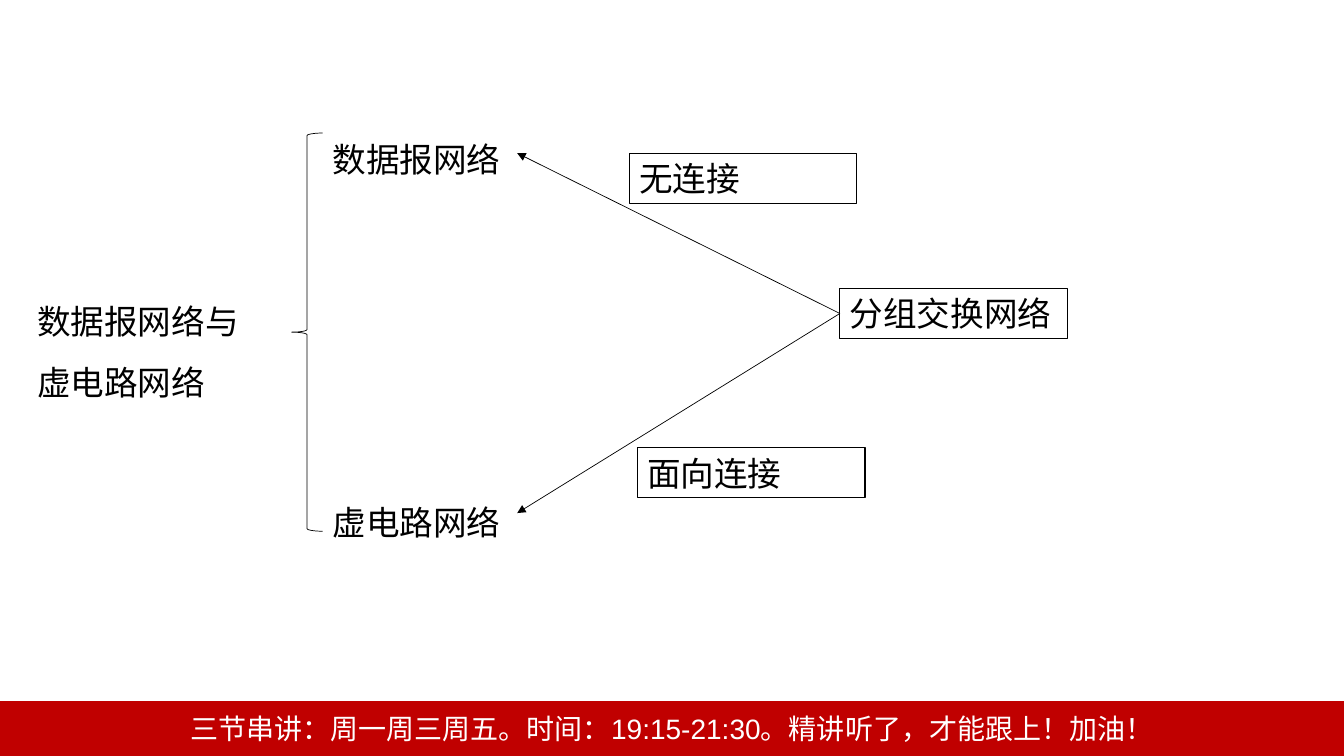
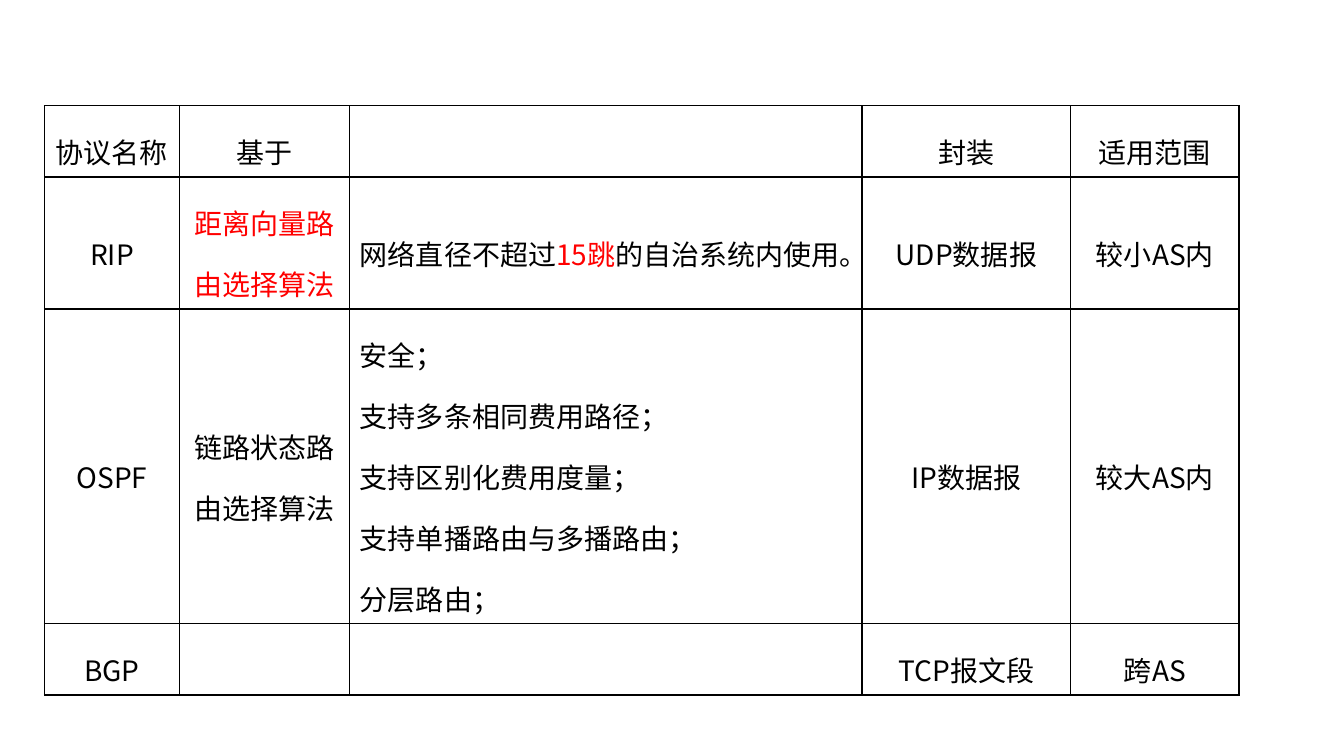
from lxml import etree
from pptx import Presentation
from pptx.dml.color import RGBColor
from pptx.enum.shapes import MSO_CONNECTOR, MSO_SHAPE
from pptx.enum.text import MSO_ANCHOR, MSO_AUTO_SIZE, PP_ALIGN
from pptx.oxml.ns import qn
from pptx.util import Inches, Pt

LEFT, CENTER = PP_ALIGN.LEFT, PP_ALIGN.CENTER
TOP, MIDDLE = MSO_ANCHOR.TOP, MSO_ANCHOR.MIDDLE
FIXED, GROW = MSO_AUTO_SIZE.NONE, MSO_AUTO_SIZE.SHAPE_TO_FIT_TEXT
RECTANGLE, LEFT_BRACE = MSO_SHAPE.RECTANGLE, MSO_SHAPE.LEFT_BRACE
STRAIGHT = MSO_CONNECTOR.STRAIGHT


class Theme:
    black = RGBColor(0x00, 0x00, 0x00)
    white = RGBColor(0xFF, 0xFF, 0xFF)
    red = RGBColor(0xFF, 0x00, 0x00)
    band = RGBColor(0xC0, 0x00, 0x00)
    diagram_text = {"size": Pt(24), "name": "Arial"}
    band_text = {"size": Pt(20), "name": "Arial"}
    table_text = {"size": Pt(20), "name": "Noto Sans CJK SC"}
    thin, box_line, border = Pt(0.5), Pt(0.75), Pt(1)
    spacing = 1.5


def write(frame, paragraphs, font, color=Theme.black, align=LEFT, spacing=None):
    """Fill a text frame; each paragraph is a string or a list of (text, color)."""
    frame.word_wrap = True
    for index, content in enumerate(paragraphs):
        paragraph = frame.add_paragraph() if index else frame.paragraphs[0]
        paragraph.alignment = align
        paragraph.line_spacing = spacing
        runs = [(content, color)] if isinstance(content, str) else content
        for text, run_color in runs:
            run = paragraph.add_run()
            run.text = text
            run.font.color.rgb = run_color
            for name, value in font.items():
                setattr(run.font, name, value)


def add_outline(slide, kind, position, width, color=Theme.black, fill=None):
    """Add a preset shape with a plain line and an optional fill."""
    shape = slide.shapes.add_shape(kind, *map(Inches, position))
    shape.shadow.inherit = False
    shape.line.color.rgb = color
    shape.line.width = width
    if fill is None:
        shape.fill.background()
    else:
        shape.fill.solid()
        shape.fill.fore_color.rgb = fill
    return shape


presentation = Presentation()
presentation.slide_width = Inches(13.33)
presentation.slide_height = Inches(7.5)
blank = presentation.slide_layouts[6]

# Slide 1: topic and its two branches
slide = presentation.slides.add_slide(blank)
topics = [
    ((0.27, 2.74, 2.92, 1.24), ["数据报网络与", "虚电路网络"]),
    ((3.2, 1.13, 1.9, 0.67), ["数据报网络"]),
    ((3.2, 4.73, 1.9, 0.67), ["虚电路网络"]),
]
for position, lines in topics:
    text_box = slide.shapes.add_textbox(*map(Inches, position))
    write(text_box.text_frame, lines, Theme.diagram_text, spacing=Theme.spacing)
    text_box.text_frame.auto_size = GROW
add_outline(slide, LEFT_BRACE, (2.89, 1.32, 0.31, 3.95), Theme.thin)

# Arrows from the packet network to each branch
for end_y in (1.52, 5.09):
    arrow = slide.shapes.add_connector(
        STRAIGHT, Inches(8.33), Inches(3.11), Inches(5.13), Inches(end_y))
    arrow.line.color.rgb = Theme.black
    arrow.line.width = Theme.thin
    etree.SubElement(arrow.line._get_or_add_ln(), qn("a:tailEnd"), type="triangle")
    etree.SubElement(arrow._element.spPr, qn("a:effectLst"))

# Framed labels
labels = [(8.33, 2.86, "分组交换网络"), (6.24, 1.52, "无连接"), (6.32, 4.44, "面向连接")]
for left, top, text in labels:
    label = add_outline(slide, RECTANGLE, (left, top, 2.26, 0.5), Theme.box_line)
    write(label.text_frame, [text], Theme.diagram_text)
    label.text_frame.vertical_anchor = TOP
    label.text_frame.auto_size = GROW

# Footer band
footer = add_outline(slide, RECTANGLE, (0, 6.96, 13.33, 0.54), Theme.border,
                     Theme.band, Theme.band)
write(footer.text_frame,
      ["三节串讲：周一周三周五。时间：19:15-21:30。精讲听了，才能跟上！加油！"],
      Theme.band_text, Theme.white, CENTER)
footer.text_frame.vertical_anchor = MIDDLE
footer.text_frame.auto_size = FIXED

# Slide 2: routing protocol table
slide = presentation.slides.add_slide(blank)
column_widths = [1.34, 1.69, 5.08, 2.07, 1.67]
row_heights = [0.7, 1.31, 3.12, 0.7]
hop_limit = [("网络直径不超过", Theme.black), ("15跳", Theme.red),
             ("的自治系统内使用。", Theme.black)]
ospf_features = ["安全；", "支持多条相同费用路径；", "支持区别化费用度量；",
                 "支持单播路由与多播路由；", "分层路由；"]
rows = [
    [["协议名称"], ["基于"], [], ["封装"], ["适用范围"]],
    [["RIP"], [[("距离向量路由选择算法", Theme.red)]], [hop_limit],
     ["UDP数据报"], ["较小AS内"]],
    [["OSPF"], ["链路状态路由选择算法"], ospf_features, ["IP数据报"], ["较大AS内"]],
    [["BGP"], [], [], ["TCP报文段"], ["跨AS"]],
]
table = slide.shapes.add_table(
    len(rows), len(column_widths), Inches(0.44), Inches(1.05),
    Inches(sum(column_widths)), Inches(sum(row_heights))).table
table.first_row = table.horz_banding = False
for column, width in zip(table.columns, column_widths):
    column.width = Inches(width)
for row, height in zip(table.rows, row_heights):
    row.height = Inches(height)

# Cell text and borders
for row_index, row in enumerate(rows):
    for column_index, paragraphs in enumerate(row):
        cell = table.cell(row_index, column_index)
        write(cell.text_frame, paragraphs, Theme.table_text,
              align=LEFT if column_index == 2 else CENTER, spacing=Theme.spacing)
        cell.vertical_anchor = MIDDLE
        properties = cell._tc.get_or_add_tcPr()
        for side in ("a:lnL", "a:lnR", "a:lnT", "a:lnB"):
            border = etree.SubElement(properties, qn(side), w=str(Theme.border))
            fill = etree.SubElement(border, qn("a:solidFill"))
            etree.SubElement(fill, qn("a:srgbClr"), val=str(Theme.black))
        cell.fill.background()

presentation.save("out.pptx")
